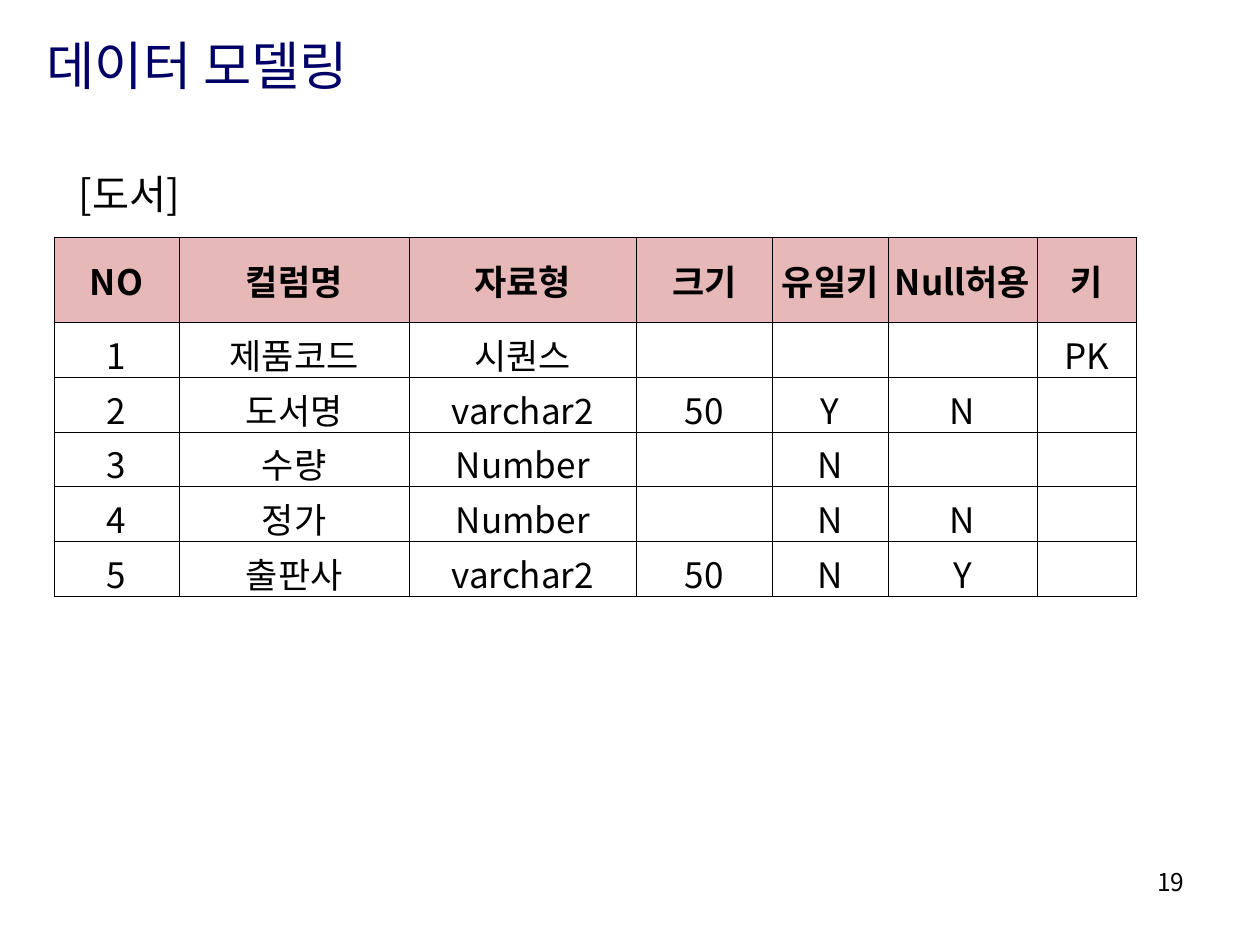
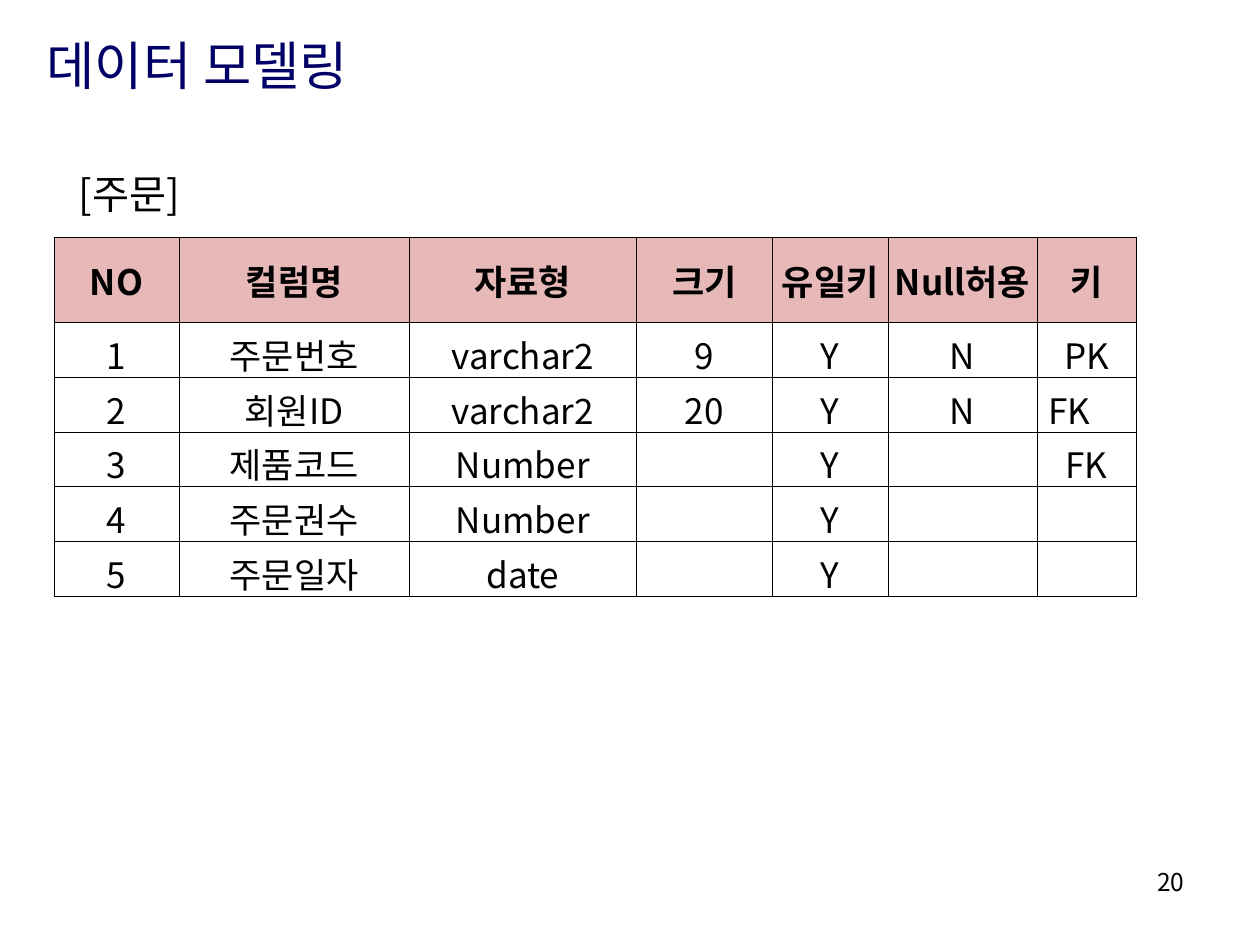
from lxml.etree import SubElement
from pptx import Presentation
from pptx.dml.color import RGBColor
from pptx.enum.text import MSO_ANCHOR, MSO_AUTO_SIZE, PP_ALIGN
from pptx.oxml import parse_xml
from pptx.oxml.ns import nsdecls, qn
from pptx.util import Inches, Pt

FONT = "Noto Sans CJK KR"
NAVY, BLACK, PINK = "000066", "000000", "E6B9B8"
TITLE = "데이터 모델링"
HEADER = ["NO", "컬럼명", "자료형", "크기", "유일키", "Null허용", "키"]
COL_WIDTHS = [0.99, 1.83, 1.8, 1.08, 0.92, 1.18, 0.79]
HEADER_HEIGHT, ROW_HEIGHT = 0.68, 0.41

TABLES = [
    (19, "[도서]", [
        ["제품코드", "시퀀스", "", "", "", "PK"],
        ["도서명", "varchar2", "50", "Y", "N", ""],
        ["수량", "Number", "", "N", "", ""],
        ["정가", "Number", "", "N", "N", ""],
        ["출판사", "varchar2", "50", "N", "Y", ""],
    ]),
    (20, "[주문]", [
        ["주문번호", "varchar2", "9", "Y", "N", "PK"],
        ["회원ID", "varchar2", "20", "Y", "N", "FK\u3000"],
        ["제품코드", "Number", "", "Y", "", "FK"],
        ["주문권수", "Number", "", "Y", "", ""],
        ["주문일자", "date", "", "Y", "", ""],
    ]),
]


def rgb(value):
    """Turn a hex string into a colour."""
    return RGBColor.from_string(value)


def write(tf, text, size, align, color=BLACK, bold=False):
    """Fill a text frame with one formatted paragraph and return it."""
    tf.text = text
    p = tf.paragraphs[0]
    p.alignment = align
    for r in p.runs:
        r.font.size = Pt(size)
        r.font.bold = bold
        r.font.color.rgb = rgb(color)
        r.font.name = FONT
        SubElement(r.font._element, qn("a:ea"), typeface=FONT)
    return p


def add_title(s, text):
    """Place the title placeholder at the top of the slide."""
    sp = s.shapes.title
    sp.left, sp.top = Inches(0.27), Inches(0.21)
    sp.width, sp.height = Inches(9.45), Inches(0.61)
    tf = sp.text_frame
    tf.auto_size = MSO_AUTO_SIZE.NONE
    tf.vertical_anchor = MSO_ANCHOR.MIDDLE
    write(tf, text, 30, PP_ALIGN.LEFT, NAVY)


def add_text(s, text, box, size, align):
    """Add a wrapping text box and return its text frame."""
    tf = s.shapes.add_textbox(*map(Inches, box)).text_frame
    tf.word_wrap = True
    write(tf, text, size, align)
    return tf


def add_caption(s, text):
    """Add the table name above the table."""
    tf = add_text(s, text, (0.04, 1.4, 1.97, 0.37), 23, PP_ALIGN.CENTER)
    tf.auto_size = MSO_AUTO_SIZE.SHAPE_TO_FIT_TEXT
    p = tf.paragraphs[0]
    p.line_spacing = 0.7
    p.space_before = Pt(14.4)


def set_borders(cell):
    """Draw a hairline on all four sides of a cell."""
    tcPr = cell._tc.get_or_add_tcPr()
    for i, side in enumerate("LRTB"):
        tcPr.insert(i, parse_xml(
            f'<a:ln{side} {nsdecls("a")} w="{Pt(0.23)}"><a:solidFill>'
            f'<a:srgbClr val="{BLACK}"/></a:solidFill></a:ln{side}>'))


def format_cell(cell, text, is_header):
    """Write one cell with its fill, margins and borders."""
    cell.margin_left = cell.margin_right = Inches(0.01)
    cell.vertical_anchor = MSO_ANCHOR.MIDDLE
    if is_header:
        cell.fill.solid()
        cell.fill.fore_color.rgb = rgb(PINK)
    else:
        cell.fill.background()
    set_borders(cell)
    write(cell.text_frame, text, 20, PP_ALIGN.CENTER, bold=is_header)


def add_column_table(s, columns):
    """Add the table that describes the columns, numbered from 1."""
    rows = [HEADER] + [[str(n), *row] for n, row in enumerate(columns, 1)]
    height = HEADER_HEIGHT + ROW_HEIGHT * len(columns)
    table = s.shapes.add_table(
        len(rows), len(HEADER), Inches(0.43), Inches(1.88),
        Inches(sum(COL_WIDTHS)), Inches(height)).table
    table.first_row = table.horz_banding = False
    for col, width in zip(table.columns, COL_WIDTHS):
        col.width = Inches(width)
    for i, row in enumerate(rows):
        table.rows[i].height = Inches(ROW_HEIGHT if i else HEADER_HEIGHT)
        for j, text in enumerate(row):
            format_cell(table.cell(i, j), text, i == 0)


def main():
    """Build one slide per database table."""
    prs = Presentation()
    prs.slide_width, prs.slide_height = Inches(10), Inches(7.5)
    for number, name, columns in TABLES:
        s = prs.slides.add_slide(prs.slide_layouts[5])
        add_text(s, str(number), (7.17, 6.83, 2.33, 0.52), 14, PP_ALIGN.RIGHT)
        add_title(s, TITLE)
        add_column_table(s, columns)
        add_caption(s, name)
    prs.save("out.pptx")


main()
